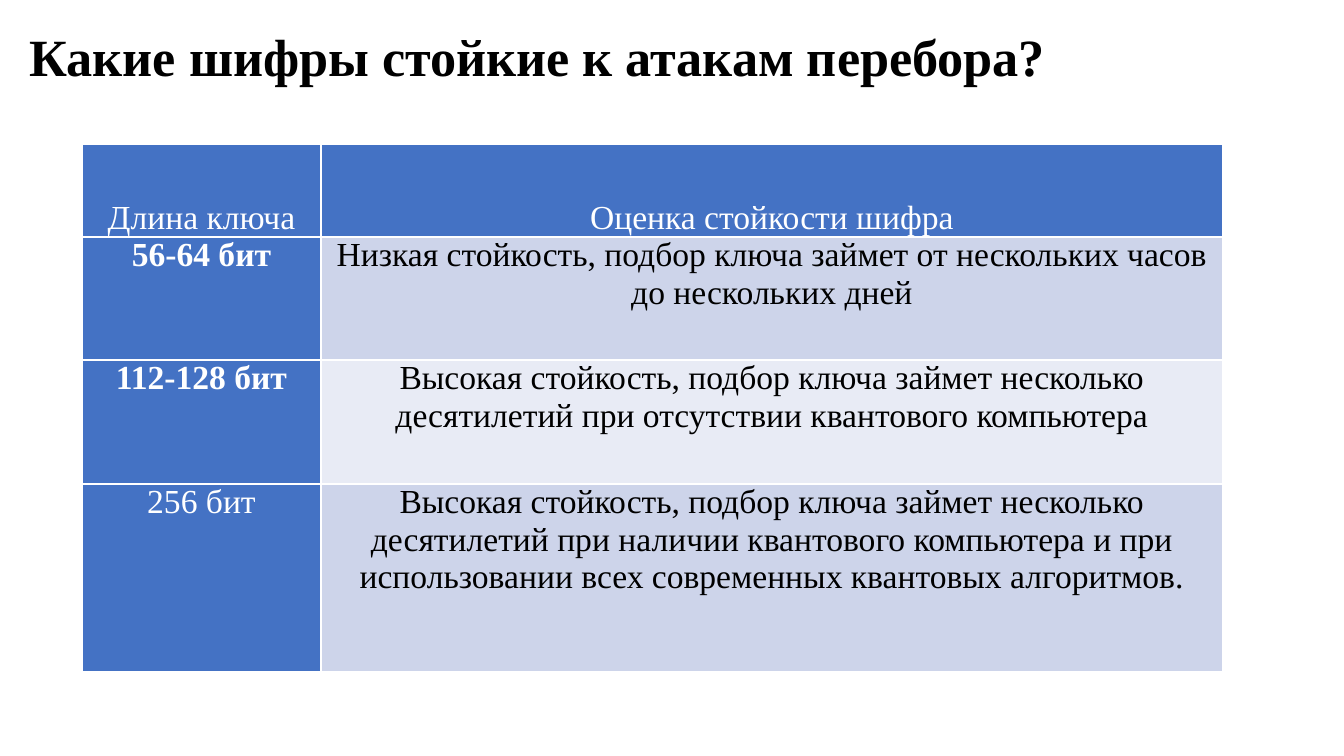
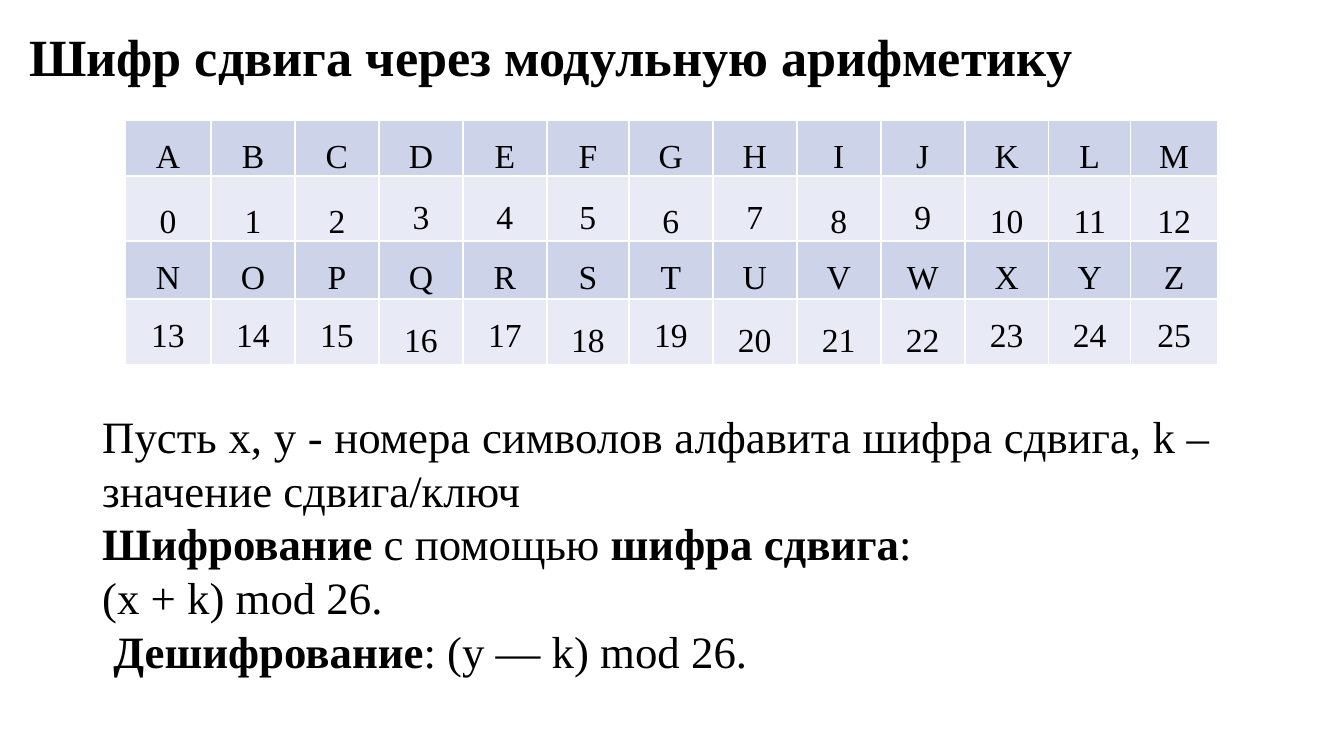
from pptx import Presentation
from pptx import util as u
from pptx.dml.color import RGBColor
from pptx.enum import text

SCALE = 9144000 / 1344  # EMU per px
FONT = "Times New Roman"
BLACK = RGBColor(0x00, 0x00, 0x00)
WHITE = RGBColor(0xFF, 0xFF, 0xFF)
BLUE = RGBColor(0x44, 0x72, 0xC4)
BANDS = [RGBColor(0xCD, 0xD4, 0xEA), RGBColor(0xE8, 0xEB, 0xF5)]
TOP, MIDDLE, BOTTOM = text.MSO_ANCHOR.TOP, text.MSO_ANCHOR.MIDDLE, text.MSO_ANCHOR.BOTTOM
CENTER, JUSTIFY = text.PP_ALIGN.CENTER, text.PP_ALIGN.JUSTIFY


def px(*lengths):
    return [u.Emu(round(n * SCALE)) for n in lengths]


def add_run(p, words, size, bold=False, color=BLACK):
    r = p.add_run()
    r.text = words
    r.font.name, r.font.size, r.font.bold = FONT, u.Pt(size), bold
    r.font.color.rgb = color


prs = Presentation()
prs.slide_width, prs.slide_height = px(1344, 756)

# Slides with title and table: title, left, top, column widths, row heights, rows
key_rows = [
    ["Длина ключа", "Оценка стойкости шифра"],
    ["56-64 бит", "Низкая стойкость, подбор ключа займет от нескольких часов до нескольких дней"],
    ["112-128 бит", "Высокая стойкость, подбор ключа займет несколько десятилетий "
                    "при отсутствии квантового компьютера"],
    ["256 бит", "Высокая стойкость, подбор ключа займет несколько десятилетий при наличии "
                "квантового компьютера и при использовании всех современных квантовых алгоритмов."],
]
letter_rows = [list("ABCDEFGHIJKLM"), [str(n) for n in range(13)],
               list("NOPQRSTUVWXYZ"), [str(n) for n in range(13, 26)]]
letter_cols = [86] + ([84] * 4 + [82]) + ([84] * 5 + [82]) + [87]
pages = [
    ("Какие шифры стойкие к атакам перебора?", 82, 144,
     [239, 902], [93, 123, 124, 188], key_rows),
    ("Шифр сдвига через модульную арифметику", 125, 120,
     letter_cols, [48, 65, 58, 66], letter_rows),
]
tables = []
for title, left, top, widths, heights, rows in pages:
    s = prs.slides.add_slide(prs.slide_layouts[5])

    # Title
    sp = s.shapes.title
    sp.left, sp.top, sp.width, sp.height = px(16, 9, 1207, 93)
    tf = sp.text_frame
    tf.auto_size = text.MSO_AUTO_SIZE.NONE
    tf.vertical_anchor = MIDDLE
    p = tf.paragraphs[0]
    p.alignment = text.PP_ALIGN.LEFT
    add_run(p, title, 28, bold=True)

    # Table grid
    table = s.shapes.add_table(len(rows), len(widths),
                               *px(left, top, sum(widths), sum(heights))).table
    for column, width in zip(table.columns, px(*widths)):
        column.width = width
    for row, height in zip(table.rows, px(*heights)):
        row.height = height
    for cell in table.iter_cells():
        cell.margin_left, cell.margin_right, cell.margin_top, cell.margin_bottom = px(1, 1, 0, 0)
        cell.text_frame.paragraphs[0].alignment = CENTER
        cell.fill.solid()
    tables.append(table)
key_table, letter_table = tables

# Key lengths: blue header row and first column
key_table.first_col = True
for i, row in enumerate(key_rows):
    for j, words in enumerate(row):
        cell = key_table.cell(i, j)
        blue = i == 0 or j == 0
        cell.fill.fore_color.rgb = BLUE if blue else BANDS[(i - 1) % 2]
        cell.vertical_anchor = BOTTOM if i == 0 else TOP
        add_run(cell.text_frame.paragraphs[0], words, 18,
                bold=j == 0 and i in (1, 2), color=WHITE if blue else BLACK)

# Letters and their numbers
letter_table.first_row = False
row_anchors = [TOP, BOTTOM, TOP, TOP]
centred = {"3", "4", "5", "7", "9", "16", "18", "20", "21", "22"}
for i, row in enumerate(letter_rows):
    for j, words in enumerate(row):
        cell = letter_table.cell(i, j)
        cell.fill.fore_color.rgb = BANDS[i % 2]
        cell.vertical_anchor = MIDDLE if words in centred else row_anchors[i]
        p = cell.text_frame.paragraphs[0]
        p.line_spacing = 1.5
        add_run(p, words, 18)

# Formulas under the letters: (words, bold) runs
formulas = [
    [("Пусть x, y - номера символов алфавита шифра сдвига, k – значение сдвига/ключ", False)],
    [("Шифрование ", True), ("с помощью ", False), ("шифра сдвига", True), (":", False)],
    [("(x + k) mod 26.", False)],
    [(" ", False), ("Дешифрование", True), (": (y — k) mod 26.", False)],
]
tf = s.shapes.add_textbox(*px(89, 402, 1134, 285)).text_frame
tf.word_wrap = True
tf.auto_size = text.MSO_AUTO_SIZE.SHAPE_TO_FIT_TEXT
for i, runs in enumerate(formulas):
    p = tf.add_paragraph() if i else tf.paragraphs[0]
    p.alignment = JUSTIFY
    for words, bold in runs:
        add_run(p, words, 24, bold)

prs.save("out.pptx")
